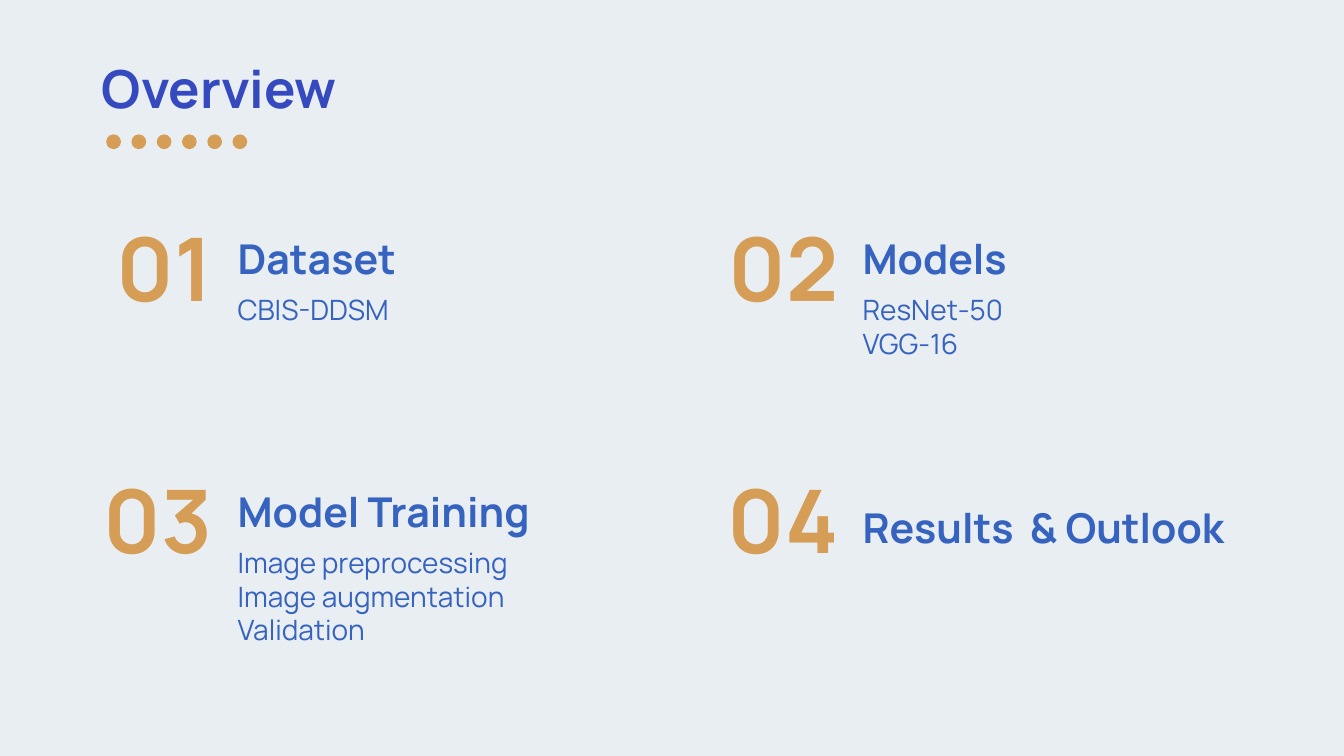
from dataclasses import dataclass

from pptx import Presentation
from pptx import util as u
from pptx.dml.color import RGBColor
from pptx.enum import shapes, text

PALE = RGBColor(0xE9, 0xEE, 0xF2)
INDIGO = RGBColor(0x36, 0x4A, 0xBF)
BLUE = RGBColor(0x36, 0x63, 0xBF)
OCHRE = RGBColor(0xD6, 0x9D, 0x56)

WIDTH = u.Inches(10)
HEIGHT = WIDTH * 9 // 16
LEFT, TOP = 0.52, 1.7
COL_STEP, ROW_STEP = 4.66, 1.88
HEAD_COLS = (1.67, 6.32)
DOTS, DOT_SPAN, DOT_SIZE = 6, 0.94, 0.11

TOP_ANCHOR, MIDDLE = text.MSO_ANCHOR.TOP, text.MSO_ANCHOR.MIDDLE


@dataclass(frozen=True)
class Style:
    size: float
    color: RGBColor
    bold: bool = True
    anchor: text.MSO_ANCHOR = MIDDLE
    align: text.PP_ALIGN = text.PP_ALIGN.LEFT


@dataclass(frozen=True)
class Topic:
    col: int
    row: int
    head: str
    lines: tuple[str, ...] = ()
    drop: float = 0.04
    width: float = 2.78


TITLE = Style(28, INDIGO, anchor=TOP_ANCHOR)
NUMBER = Style(47, OCHRE, align=text.PP_ALIGN.RIGHT)
HEAD = Style(22, BLUE)
BODY = Style(15, BLUE, bold=False, anchor=TOP_ANCHOR)

TOPICS = (
    Topic(0, 0, "Dataset", ("CBIS-DDSM",)),
    Topic(1, 0, "Models", ("ResNet-50", "VGG-16")),
    Topic(0, 1, "Model Training",
          ("Image preprocessing", "Image augmentation", "Validation")),
    Topic(1, 1, "Results  & Outlook", drop=0.16, width=2.9),
)


def add_text(slide, lines: tuple[str, ...], x: float, y: float,
             w: float, h: float, style: Style) -> None:
    box = slide.shapes.add_textbox(*map(u.Inches, (x, y, w, h)))
    frame = box.text_frame
    inset = u.Inches(0.1)
    form = dict(word_wrap=True, vertical_anchor=style.anchor,
                margin_left=inset, margin_right=inset,
                margin_top=inset, margin_bottom=inset)
    for name, value in form.items():
        setattr(frame, name, value)
    frame.text = "\n".join(lines)
    look = dict(name="Manrope", size=u.Pt(style.size), bold=style.bold)
    for para in frame.paragraphs:
        para.alignment = style.align
        for run in para.runs:
            for name, value in look.items():
                setattr(run.font, name, value)
            run.font.color.rgb = style.color


def add_dots(slide, x: float, y: float) -> None:
    group = slide.shapes.add_group_shape()
    step = DOT_SPAN / (DOTS - 1)
    for i in range(DOTS):
        dot = group.shapes.add_shape(
            shapes.MSO_SHAPE.OVAL,
            *map(u.Inches, (x + i * step, y, DOT_SIZE, DOT_SIZE)))
        dot.shadow.inherit = False
        dot.fill.solid()
        dot.fill.fore_color.rgb = OCHRE
        dot.line.fill.background()


def add_topic(slide, number: int, topic: Topic) -> None:
    x = LEFT + topic.col * COL_STEP
    y = TOP + topic.row * ROW_STEP
    side = HEAD_COLS[topic.col]
    add_text(slide, (f"{number:02}",), x, y, 1.16, 0.56, NUMBER)
    add_text(slide, (topic.head,), side, y + topic.drop,
             topic.width, 0.36, HEAD)
    if topic.lines:
        add_text(slide, topic.lines, side, y + 0.38, 2.9, 1.08, BODY)


def main() -> None:
    deck = Presentation()
    deck.slide_width, deck.slide_height = WIDTH, HEIGHT
    slide = deck.slides.add_slide(deck.slide_layouts[6])
    slide.background.fill.solid()
    slide.background.fill.fore_color.rgb = PALE
    add_text(slide, ("Overview",), 0.66, 0.32, 6.65, 0.63, TITLE)
    add_dots(slide, 0.79, 1)
    for number, topic in enumerate(TOPICS, 1):
        add_topic(slide, number, topic)
    deck.save("out.pptx")


if __name__ == "__main__":
    main()
